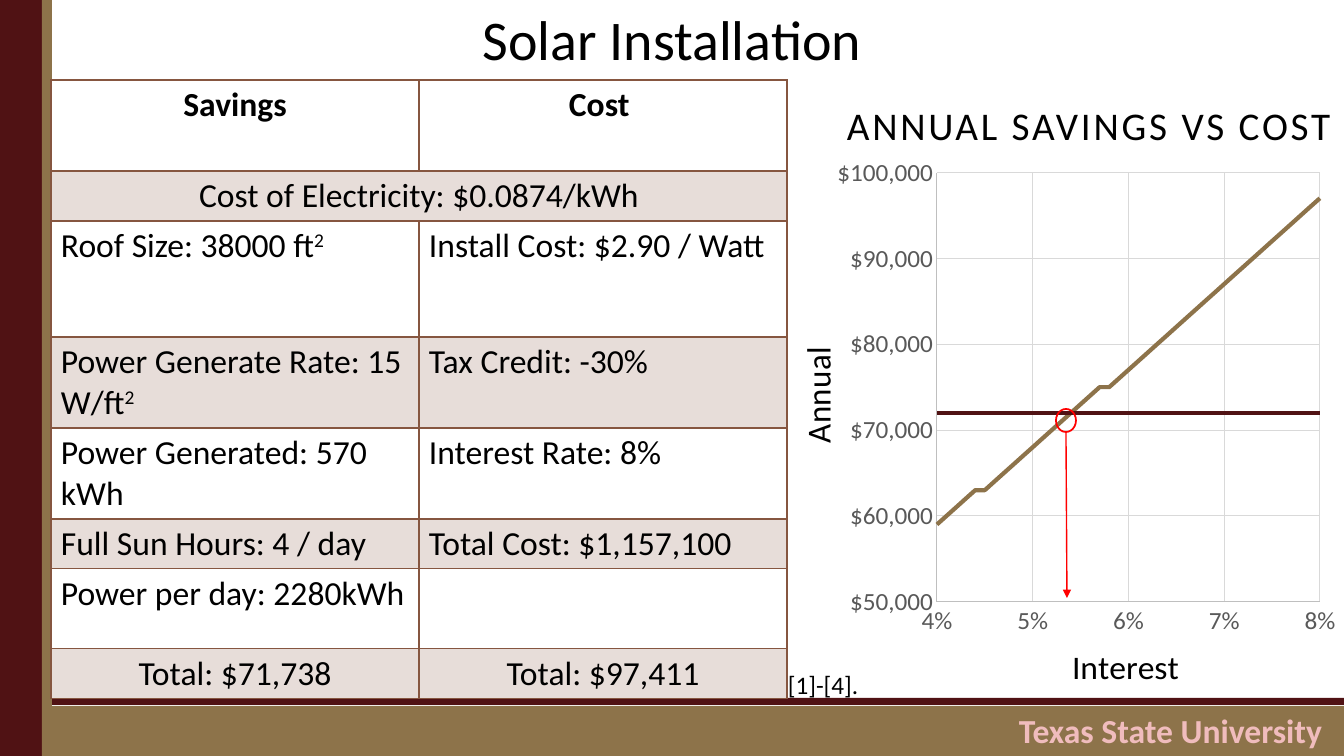
from lxml import etree
from pptx import Presentation
from pptx.chart.data import XyChartData
from pptx.dml.color import RGBColor
from pptx.enum.chart import XL_CHART_TYPE, XL_MARKER_STYLE, XL_TICK_MARK
from pptx.enum.shapes import MSO_CONNECTOR, MSO_SHAPE
from pptx.enum.text import MSO_ANCHOR, MSO_AUTO_SIZE, PP_ALIGN
from pptx.oxml.ns import qn
from pptx.util import Pt

LEFT, CENTER = PP_ALIGN.LEFT, PP_ALIGN.CENTER
TOP, MIDDLE = MSO_ANCHOR.TOP, MSO_ANCHOR.MIDDLE
NO_TICK = XL_TICK_MARK.NONE
SCATTER = XL_CHART_TYPE.XY_SCATTER_SMOOTH_NO_MARKERS

# Content
FONT = "Calibri"
MAROON, GOLD, BROWN, TINT = "501214", "8D734A", "865640", "E7DDD9"
BLACK, GRAY, RED, PINK = "000000", "595959", "FF0000", "F0BCBD"

TITLE = "Solar Installation"
CHART_TITLE = "ANNUAL SAVINGS VS COST"
REFERENCES = "[1]-[4]."
FOOTER = "Texas State University"

# Row height in px, then the cell texts; ^ starts a superscript
TABLE_ROWS = [
    (91, "Savings", "Cost "),
    (50, "Cost of Electricity: $0.0874/kWh", None),
    (116, "Roof Size: 38000 ft^2", "Install Cost: $2.90 / Watt"),
    (91, "Power Generate Rate: 15 W/ft^2", "Tax Credit: -30%"),
    (90, "Power Generated: 570 kWh", "Interest Rate: 8%"),
    (50, "Full Sun Hours: 4 / day", "Total Cost: $1,157,100"),
    (80, "Power per day: 2280kWh", ""),
    (50, "Total: $71,738", "Total: $97,411"),
]
CENTERED_ROWS = (0, 1, 7)
COLUMN_WIDTH = 368

# Yearly loan payment against a constant yearly saving, in whole thousands
SAVINGS, LOAN, YEARS = 72000, 1157100, 39
RATES = [step / 1000 for step in range(80, 39, -1)]
PAYMENTS = [round(LOAN * rate / (1 - (1 + rate) ** -YEARS) / 1000) * 1000
            for rate in RATES]
SERIES = [("Savings", [SAVINGS] * len(RATES), MAROON), ("Cost", PAYMENTS, GOLD)]

# Chart area on the slide, then the parts inside it
CHART_AREA = (787, 149, 556, 550)
PLOT_AREA = (150, 24, 383, 438)
INTEREST_SPOT, ANNUAL_SPOT = (279, 500), (2, 198)

# left, top, width, height, colour
BARS = [
    (0, 706, 1344, 50, GOLD),
    (0, 698, 1344, 7, MAROON),
    (0, 0, 42, 756, MAROON),
    (42, 0, 10, 756, GOLD),
]


def px(value):
    return round(value * 914400 / 100.8)


def place(*lengths):
    return [px(length) for length in lengths]


def color(value):
    return RGBColor.from_string(value)


def apply(target, formats):
    for name, value in formats.items():
        setattr(target, name, value)


def style_font(font, size, tone=BLACK, bold=False):
    apply(font, {"name": FONT, "size": Pt(size), "bold": bold})
    font.color.rgb = color(tone)


def style_line(line, tone, width):
    line.color.rgb = color(tone)
    line.width = Pt(width)


def write(frame, text, size, align=LEFT, tone=BLACK, bold=False):
    para = frame.paragraphs[0]
    para.alignment = align
    for index, part in enumerate(text.split("^")):
        span = para.add_run()
        span.text = part
        style_font(span.font, size, tone, bold)
        if index:
            span._r.get_or_add_rPr().set("baseline", "30000")
    return para


def add_label(page, area, text, size, wrap=True, **formats):
    frame = page.shapes.add_textbox(*place(*area)).text_frame
    apply(frame, {"word_wrap": wrap, "vertical_anchor": MIDDLE})
    return write(frame, text, size, **formats)


def add_outline(page, shape, area, tone=None):
    item = page.shapes.add_shape(shape, *place(*area))
    item.shadow.inherit = False
    if tone:
        item.fill.solid()
        item.fill.fore_color.rgb = color(tone)
        item.line.fill.background()
    else:
        item.fill.background()
        style_line(item.line, RED, 1.25)


def border(cell, widths):
    properties = cell._tc.get_or_add_tcPr()
    for index, (side, width) in enumerate(widths.items()):
        edge = etree.Element(qn("a:" + side), w=str(Pt(width)))
        fill = etree.SubElement(edge, qn("a:solidFill"))
        etree.SubElement(fill, qn("a:srgbClr"), val=BROWN)
        properties.insert(index, edge)


def add_layout(parent, index, lengths, inner=False):
    for old in parent.findall(qn("c:layout")):
        parent.remove(old)
    layout = etree.Element(qn("c:layout"))
    manual = etree.SubElement(layout, qn("c:manualLayout"))
    if inner:
        etree.SubElement(manual, qn("c:layoutTarget"), val="inner")
    for name in ("xMode", "yMode"):
        etree.SubElement(manual, qn("c:" + name), val="edge")
    for name, length, whole in zip("xywh", lengths, CHART_AREA[2:] * 2):
        etree.SubElement(manual, qn("c:" + name), val=str(length / whole))
    parent.insert(index, layout)


def style_axis(axis, title, spot, scale, number_format):
    low, high, step = scale
    apply(axis, {"minimum_scale": low, "maximum_scale": high, "major_unit": step,
                 "major_tick_mark": NO_TICK, "minor_tick_mark": NO_TICK,
                 "has_major_gridlines": True})
    apply(axis.tick_labels, {"number_format": number_format,
                             "number_format_is_linked": False})
    style_font(axis.tick_labels.font, 18, GRAY)
    style_line(axis.format.line, "BFBFBF", 0.75)
    style_line(axis.major_gridlines.format.line, "D9D9D9", 0.75)
    write(axis.axis_title.text_frame, title, 24)
    add_layout(axis.axis_title._element, 1, spot)


deck = Presentation()
deck.slide_width, deck.slide_height = place(1344, 756)
page = deck.slides.add_slide(deck.slide_layouts[5])

# Side and bottom bars
for *area, tone in BARS:
    add_outline(page, MSO_SHAPE.RECTANGLE, area, tone)

# Title
title = page.shapes.title
apply(title, dict(zip(("left", "top", "width", "height"), place(304, 0, 736, 76))))
apply(title.text_frame, {"auto_size": MSO_AUTO_SIZE.NONE, "word_wrap": True,
                         "vertical_anchor": MIDDLE})
write(title.text_frame, TITLE, 40, CENTER)

# Savings and cost table
height = sum(row[0] for row in TABLE_ROWS)
table = page.shapes.add_table(len(TABLE_ROWS), 2,
                              *place(51, 80, 2 * COLUMN_WIDTH, height)).table
apply(table, {"first_row": False, "horz_banding": False})
for column in table.columns:
    column.width = px(COLUMN_WIDTH)
for row, (row_height, *texts) in enumerate(TABLE_ROWS):
    table.rows[row].height = px(row_height)
    for column, text in enumerate(texts):
        cell = table.cell(row, column)
        apply(cell, {"margin_left": px(10), "margin_right": px(10), "margin_top": px(5),
                     "margin_bottom": px(4), "vertical_anchor": TOP})
        if row % 2:
            cell.fill.solid()
            cell.fill.fore_color.rgb = color(TINT)
        else:
            cell.fill.background()
        border(cell, {"lnL": 1, "lnR": 1, "lnT": 2 if row == 1 else 1,
                      "lnB": 1 if row else 2})
        if text:
            write(cell.text_frame, text, 24, CENTER if row in CENTERED_ROWS else LEFT,
                  bold=row == 0)
table.cell(1, 0).merge(table.cell(1, 1))

# Chart with its heading
heading = add_label(page, (837, 101, 507, 53), CHART_TITLE, 28, wrap=False)
heading.line_spacing = 0.9
heading.runs[0]._r.get_or_add_rPr().set("spc", "200")

data = XyChartData()
for name, amounts, tone in SERIES:
    points = data.add_series(name)
    for rate, amount in zip(RATES, amounts):
        points.add_data_point(rate, amount)
chart = page.shapes.add_chart(SCATTER, *place(*CHART_AREA), data).chart
apply(chart, {"has_title": False, "has_legend": False})
style_font(chart.font, 10)
chart.plots[0].vary_by_categories = False
for series, (name, amounts, tone) in zip(chart.plots[0].series, SERIES):
    series.smooth = True
    series.marker.style = XL_MARKER_STYLE.NONE
    style_line(series.format.line, tone, 3)
style_axis(chart.category_axis, "Interest", INTEREST_SPOT, (0.04, 0.08, 0.01), "0%")
style_axis(chart.value_axis, "Annual", ANNUAL_SPOT, (50000, 100000, 10000), "$#,##0")
add_layout(chart._chartSpace.chart.plotArea, 0, PLOT_AREA, inner=True)

# Break-even marker and arrow
add_outline(page, MSO_SHAPE.OVAL, (1056, 409, 20, 23))
arrow = page.shapes.add_connector(MSO_CONNECTOR.STRAIGHT, *place(1066, 432, 1067, 598))
style_line(arrow.line, RED, 1)
etree.SubElement(arrow.line._get_or_add_ln(), qn("a:tailEnd"), type="triangle")
etree.SubElement(arrow._element.spPr, qn("a:effectLst"))

# Footer and references
add_label(page, (997, 705, 347, 50), FOOTER, 24, align=CENTER, tone=PINK, bold=True)
add_label(page, (778, 664, 92, 40), REFERENCES, 18, wrap=False)

deck.save("out.pptx")
